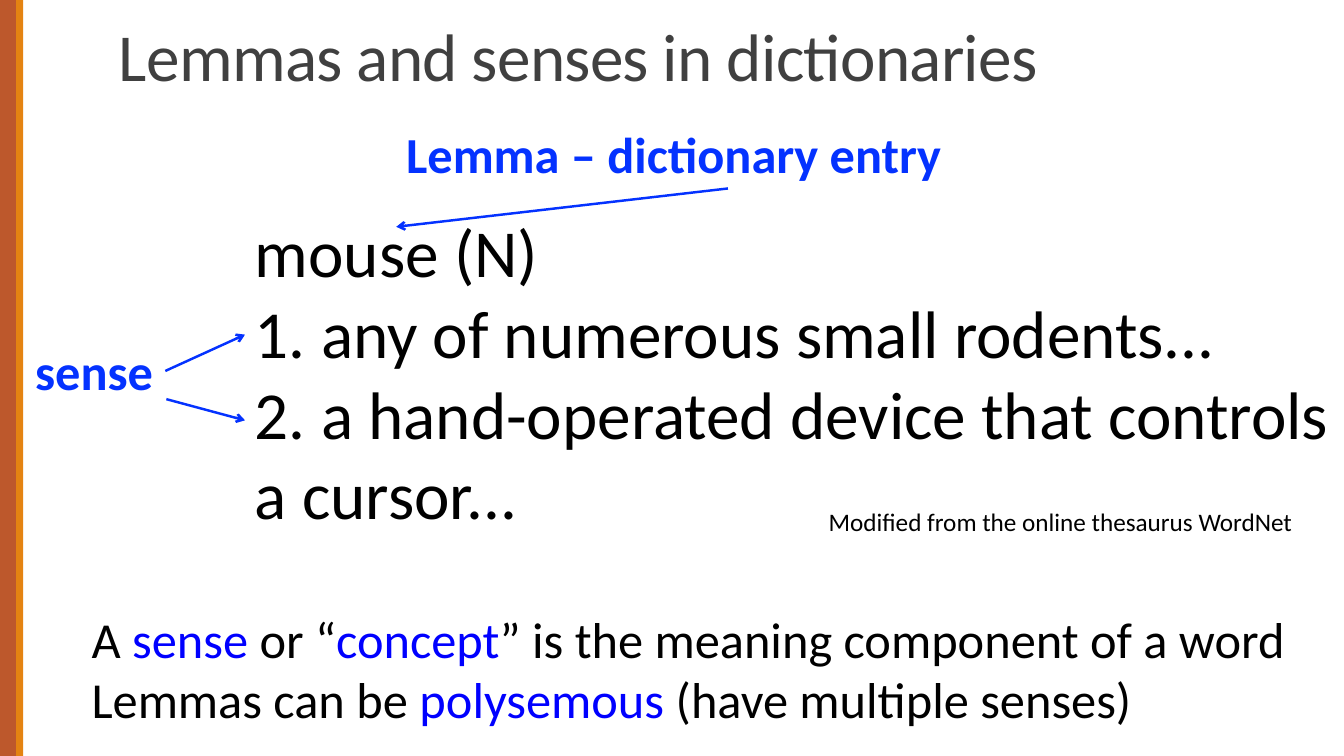
from lxml.etree import SubElement
from pptx import Presentation
from pptx.dml.color import RGBColor
from pptx.enum.shapes import MSO_CONNECTOR, MSO_SHAPE
from pptx.enum.text import MSO_ANCHOR, MSO_AUTO_SIZE, PP_ALIGN
from pptx.oxml.ns import qn
from pptx.util import Inches, Pt

FONT = "Calibri"
RUST = RGBColor(0xBD, 0x58, 0x2C)
ORANGE = RGBColor(0xE4, 0x83, 0x12)
GREY = RGBColor(0x40, 0x40, 0x40)
BLACK = RGBColor(0, 0, 0)
LABEL_BLUE = RGBColor(0x04, 0x32, 0xFF)
TERM_BLUE = RGBColor(0, 0, 0xFF)


def format_run(run, size, color, bold=False):
    run.font.name = FONT
    run.font.size = Pt(size)
    run.font.color.rgb = color
    run.font.bold = bold


def add_text(slide, box, paragraphs, size, color=BLACK, bold=False, wrap=True):
    """Each paragraph is a list of strings; every second string is a term in blue."""
    frame = slide.shapes.add_textbox(*map(Inches, box)).text_frame
    frame.word_wrap = wrap
    for number, pieces in enumerate(paragraphs):
        paragraph = frame.add_paragraph() if number else frame.paragraphs[0]
        for position, piece in enumerate(pieces):
            if position:
                paragraph.add_run().text = piece
            else:
                paragraph.text = piece
        term_runs = paragraph.runs[1::2] if len(pieces) > 1 else ()
        for run in paragraph.runs:
            format_run(run, size, color, bold)
        for run in term_runs:
            run.font.color.rgb = TERM_BLUE


def add_arrow(slide, start, end):
    arrow = slide.shapes.add_connector(
        MSO_CONNECTOR.STRAIGHT, *map(Inches, start + end))
    arrow.line.color.rgb = LABEL_BLUE
    arrow.line.width = Pt(1.75)
    SubElement(arrow.line._get_or_add_ln(), qn("a:tailEnd"), type="arrow")
    SubElement(arrow._element.spPr, qn("a:effectLst"))


def add_side_bars(slide, height):
    for left, width, color in ((0, 0.16, RUST), (0.16, 0.07, ORANGE)):
        bar = slide.shapes.add_shape(
            MSO_SHAPE.RECTANGLE, *map(Inches, (left, 0, width, height)))
        bar.shadow.inherit = False
        bar.fill.solid()
        bar.fill.fore_color.rgb = color
        bar.line.fill.background()


def set_title(slide, box, text):
    title = slide.shapes.title
    title.left, title.top, title.width, title.height = map(Inches, box)
    frame = title.text_frame
    frame.text = text
    frame.auto_size = MSO_AUTO_SIZE.NONE
    frame.vertical_anchor = MSO_ANCHOR.BOTTOM
    paragraph = frame.paragraphs[0]
    paragraph.alignment = PP_ALIGN.LEFT
    paragraph.line_spacing = 0.85
    run = paragraph.runs[0]
    format_run(run, 48, GREY)
    run.font._element.set("spc", "-50")


def add_dictionary_entry(slide, box):
    left, top, width, height = box
    entry = ("mouse (N)\v1. any of numerous small rodents...\v"
             "2. a hand-operated device that controls a cursor...")
    add_text(slide, box, [[entry]], 48)
    add_text(slide, (left - 2.18, top + 1.28, 1.39, 0.71), [["sense"]],
             36, LABEL_BLUE, bold=True, wrap=False)
    add_text(slide, (left + 1.5, top - 0.87, 6.57, 0.71),
             [["Lemma – dictionary entry"]], 36, LABEL_BLUE, bold=True)
    add_arrow(slide, (left - 0.79, top + 1.64), (left, top + 1.28))
    add_arrow(slide, (left - 0.78, top + 1.92), (left, top + 2.13))
    add_arrow(slide, (left + 4.79, top - 0.17), (left + 1.5, top + 0.21))
    add_text(slide, (left + 5.69, top + 2.93, 4.86, 0.4),
             [["Modified from the online thesaurus WordNet"]], 18, wrap=False)


def add_definitions(slide, box):
    add_text(slide, box, [
        ["A ", "sense", " or “", "concept",
         "” is the meaning component of a word"],
        ["Lemmas can be ", "polysemous", " (have multiple senses)"],
    ], 36, wrap=False)


def main():
    deck = Presentation()
    deck.slide_width, deck.slide_height = Inches(13.33), Inches(7.5)
    slide = deck.slides.add_slide(deck.slide_layouts.get_by_name("Title Only"))
    add_side_bars(slide, 7.5)
    set_title(slide, (1.08, 0.2, 10.08, 0.79), "Lemmas and senses in dictionaries")
    add_dictionary_entry(slide, (2.43, 2.04, 11.04, 3.33))
    add_definitions(slide, (0.81, 5.98, 12.14, 1.31))
    deck.save("out.pptx")


if __name__ == "__main__":
    main()
